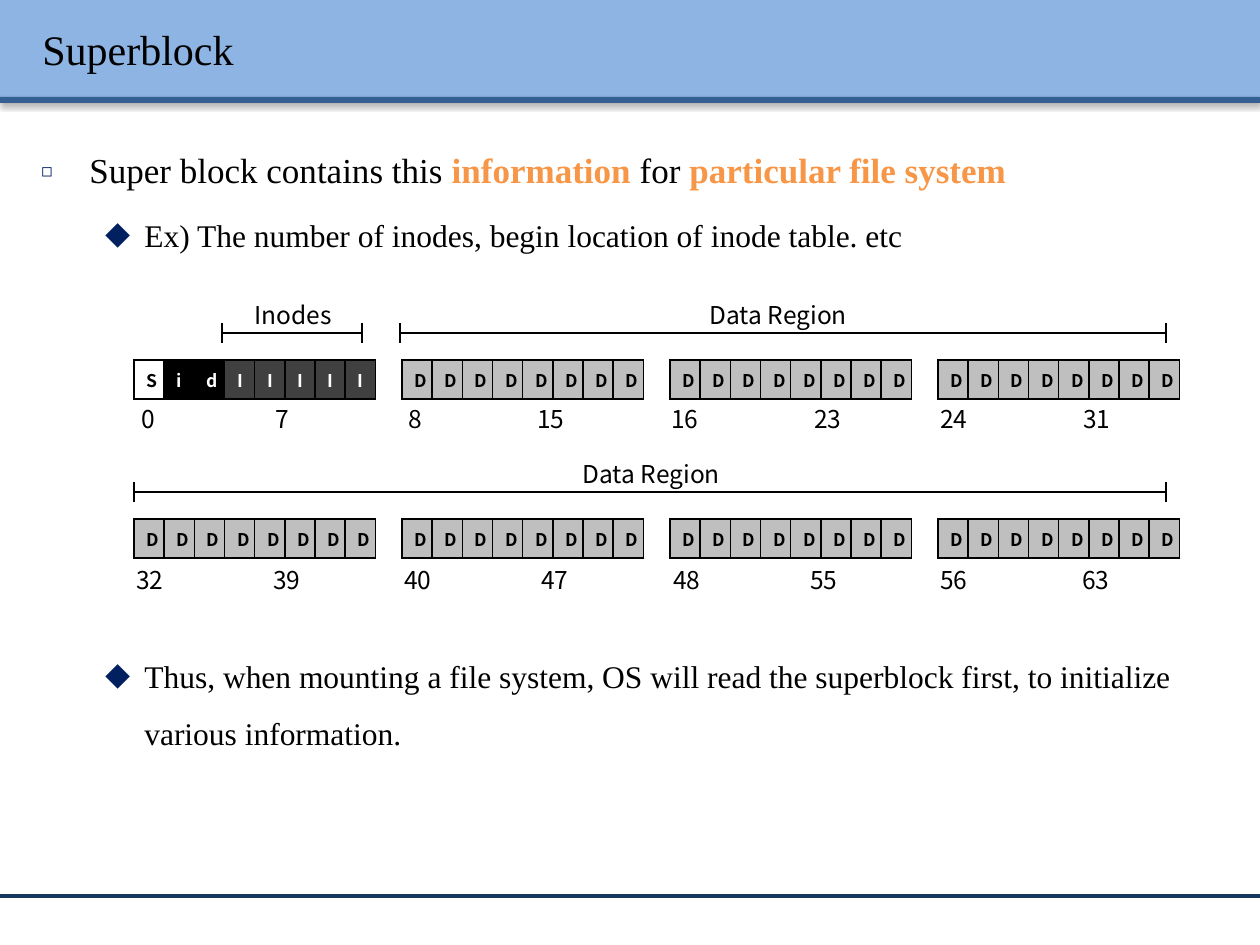
from dataclasses import dataclass

from lxml.etree import SubElement as Sub
from pptx import Presentation as Deck
from pptx.dml.color import RGBColor as Rgb
from pptx.enum.shapes import MSO_CONNECTOR as Conn, MSO_SHAPE as Kind
from pptx.enum.text import MSO_ANCHOR as Anchor, PP_ALIGN as Align
from pptx.oxml.ns import qn
from pptx.util import Pt


@dataclass(frozen=True)
class Theme:
    serif: str = "Times New Roman"
    sans: str = "Noto Sans CJK KR"
    ink: str = "000000"
    white: str = "FFFFFF"
    head: str = "8EB4E3"
    edge: str = "376092"
    foot: str = "17375E"
    mark: str = "002060"
    key: str = "F79646"
    node: str = "404040"
    data: str = "BFBFBF"
    title: int = 24
    lead: int = 20
    body: int = 18
    label: int = 14
    cell: int = 10


T = Theme()


def px(n):
    return round(n * 914400 / 126)


def sub(node, tag, **attrs):
    return Sub(node, qn(tag), {k: str(v) for k, v in attrs.items()})


def add_run(para, text, size, font=T.serif, color=T.ink, bold=False):
    run = para.add_run()
    run.text = text
    run.font.size, run.font.name, run.font.bold = Pt(size), font, bold
    run.font.color.rgb = Rgb.from_string(color)
    return run


def add_glow(node, blur, dist, angle, alpha):
    """Put an outer black shadow on shape or run properties."""
    cast = sub(sub(node, "a:effectLst"), "a:outerShdw", blurRad=Pt(blur),
               dist=Pt(dist), dir=angle * 60000, algn="ctr", rotWithShape=0)
    tint = sub(cast, "a:srgbClr", val=T.ink)
    sub(tint, "a:alpha", val=alpha * 1000)
    for face in node.findall(qn("a:latin")):
        node.append(face)  # the schema wants the font after the effects


def add_bar(slide, y, h, color):
    bar = slide.shapes.add_shape(Kind.RECTANGLE, 0, px(y), px(1260), px(h))
    bar.fill.solid()
    bar.fill.fore_color.rgb = Rgb.from_string(color)
    bar.line.fill.background()
    add_glow(bar._element.spPr, 3.1, 1.6, 90, 38)


def add_line(slide, x1, y1, x2, y2, color=T.ink, width=1):
    line = slide.shapes.add_connector(Conn.STRAIGHT, px(x1), px(y1), px(x2), px(y2))
    line.line.color.rgb = Rgb.from_string(color)
    line.line.width = Pt(width)
    sub(line._element.spPr, "a:effectLst")


def add_box(slide, x, y, w, h, wrap=True):
    frame = slide.shapes.add_textbox(px(x), px(y), px(w), px(h)).text_frame
    frame.word_wrap = wrap
    return frame


def add_point(para, left, hang, sign, scale, gap):
    """Make a bulleted paragraph with a hanging indent."""
    para.line_spacing = 1.5
    para.space_before = Pt(gap)
    props = para._p.get_or_add_pPr()
    props.set("marL", str(px(left)))
    props.set("indent", str(-px(hang)))
    sub(sub(props, "a:buClr"), "a:srgbClr", val=T.mark)
    sub(props, "a:buSzPct", val=scale * 1000)
    sub(props, "a:buFont", typeface=T.sans)
    sub(props, "a:buChar", char=sign)


def add_sub(para, text, gap):
    add_point(para, 103, 39, "◆", 80, gap)
    add_run(para, text, T.body)


def add_label(slide, x, y, w, text):
    para = add_box(slide, x, y, w, 43, False).paragraphs[0]
    add_run(para, text, T.label, T.sans)


def add_range(slide, x, y, tab, first):
    """Number the first and last block of a group."""
    para = add_box(slide, x, y, 255, 43).paragraphs[0]
    tabs = sub(para._p.get_or_add_pPr(), "a:tabLst")
    sub(tabs, "a:tab", pos=px(tab), algn="l")
    add_run(para, f"{first}\t{first + 7}", T.label, T.sans)


def add_span(slide, x1, x2, y):
    """Draw a measure line with a tick at each end."""
    add_line(slide, x1, y, x2, y)
    for x in (x1, x2):
        add_line(slide, x, y - 10, x, y + 10)


def add_group(slide, x, y, marks):
    """Draw one row of disk blocks."""
    looks = {"S": (T.white, T.ink), "i": (T.ink, T.white), "d": (T.ink, T.white),
             "I": (T.node, T.white), "D": (T.data, T.ink)}
    count = len(marks)
    table = slide.shapes.add_table(1, count, px(x), px(y), px(29 * count), px(39)).table
    table.first_row = table.horz_banding = False
    for cell, mark in zip(table.iter_cells(), marks):
        fill, ink = looks[mark]
        cell.vertical_anchor = Anchor.MIDDLE
        para = cell.text_frame.paragraphs[0]
        para.alignment = Align.CENTER
        add_run(para, mark, T.cell, T.sans, ink, True)
        props = cell._tc.get_or_add_tcPr()
        for side in ("a:lnL", "a:lnR", "a:lnT", "a:lnB"):
            rule = sub(sub(props, side, w=Pt(1)), "a:solidFill")
            sub(rule, "a:srgbClr", val=T.ink)
        cell.fill.solid()
        cell.fill.fore_color.rgb = Rgb.from_string(fill)


def main():
    deck = Deck()
    deck.slide_width, deck.slide_height = px(1260), px(945)
    slide = deck.slides.add_slide(deck.slide_layouts[6])

    # Header and footer
    add_bar(slide, 0, 97, T.head)
    add_bar(slide, 97, 6, T.edge)
    add_line(slide, 0, 896, 1260, 896, T.foot, 2)
    title = add_box(slide, 30, 8, 1211, 81)
    title.vertical_anchor = Anchor.MIDDLE
    run = add_run(title.paragraphs[0], "Superblock", T.title)
    add_glow(run.font._element, 3, 3, 45, 43)

    # Points above and below the disk map
    top = add_box(slide, 29, 121, 1211, 140)
    lead = top.paragraphs[0]
    add_point(lead, 48, 48, "◻", 52, 0)
    for text, key in (("Super block contains this ", False), ("information ", True),
                      ("for ", False), ("particular file system", True)):
        add_run(lead, text, T.lead, color=T.key if key else T.ink, bold=key)
    add_sub(top.add_paragraph(),
            "Ex) The number of inodes, begin location of inode table. etc", 4)
    end = add_box(slide, 29, 632, 1211, 130)
    add_sub(end.paragraphs[0], "Thus, when mounting a file system, OS will read the "
            "superblock first, to initialize various information.", 0)

    # Disk map: block rows, then (left, tab) of each number pair
    rows = ((360, 398, ((129, 134), (396, 129), (659, 143), (928, 143))),
            (519, 559, ((124, 137), (392, 137), (661, 137), (928, 142))))
    first = 0
    for y, low, pairs in rows:
        for col, (x, tab) in enumerate(pairs):
            add_group(slide, 134 + 268 * col, y, "DDDDDDDD" if first else "SidIIIII")
            add_range(slide, x, low, tab, first)
            first += 8

    # Regions
    for x1, x2, y, x, w, text in ((222, 362, 333, 242, 106, "Inodes"),
                                  (400, 1166, 333, 697, 171, "Data Region"),
                                  (134, 1166, 492, 570, 171, "Data Region")):
        add_span(slide, x1, x2, y)
        add_label(slide, x, y - 39, w, text)

    deck.save("out.pptx")


if __name__ == "__main__":
    main()
